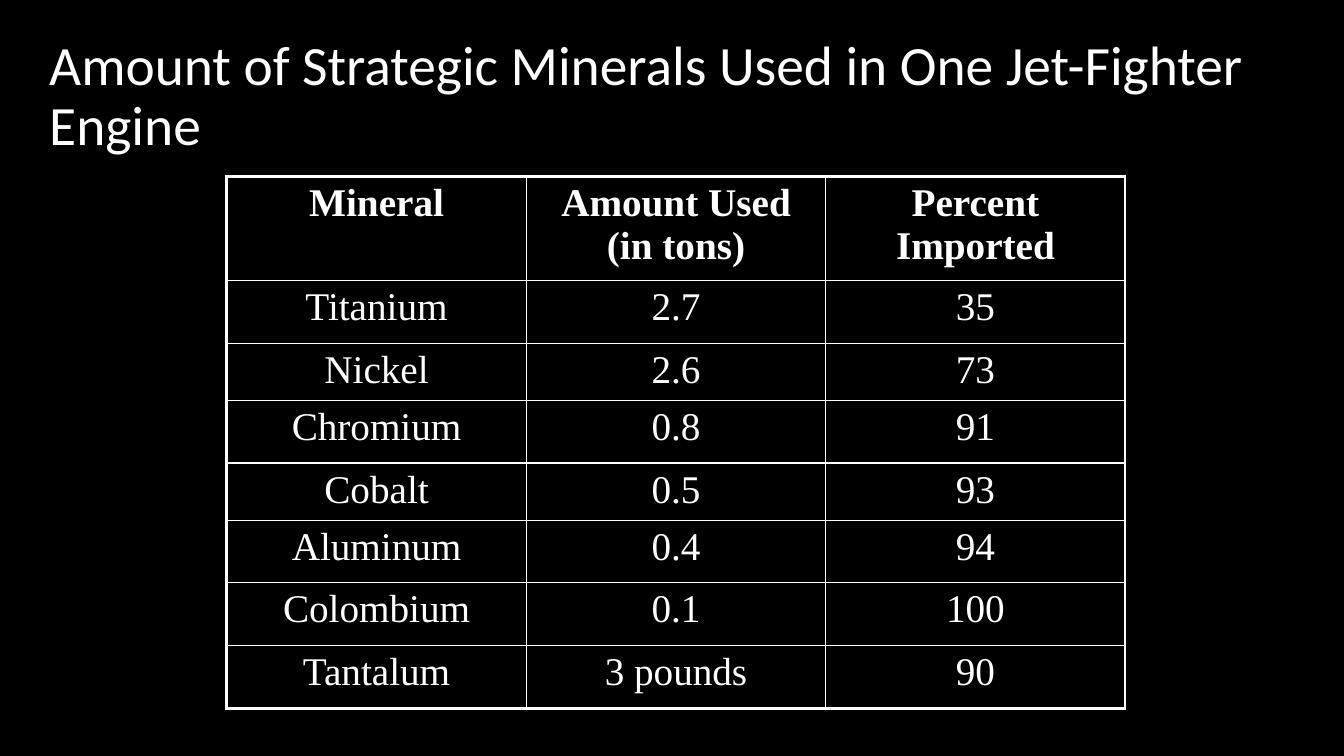
from dataclasses import dataclass

from lxml import etree
from pptx import Presentation
from pptx.dml.color import RGBColor
from pptx.enum.text import MSO_ANCHOR, PP_ALIGN
from pptx.oxml.ns import qn
from pptx.slide import Slide
from pptx.table import _Cell
from pptx.text.text import TextFrame
from pptx.util import Inches, Pt

LEFT, CENTER = PP_ALIGN.LEFT, PP_ALIGN.CENTER
MIDDLE = MSO_ANCHOR.MIDDLE


@dataclass(frozen=True)
class Theme:
    background: str = "000000"
    foreground: str = "FFFFFF"
    title_font: str = "Calibri"
    title_size: float = 39.6
    table_font: str = "Times New Roman"
    table_size: float = 28
    outer_line: float = 2.25
    inner_line: float = 1


@dataclass(frozen=True)
class MineralRow:
    mineral: str
    amount: str
    imported: str
    height: float

    def texts(self) -> tuple[str, str, str]:
        return self.mineral, self.amount, self.imported


THEME = Theme()
COLUMN_WIDTH = 2.97
ROWS = [
    MineralRow("Mineral", "Amount Used (in tons)", "Percent Imported", 1.03),
    MineralRow("Titanium", "2.7", "35", 0.62),
    MineralRow("Nickel", "2.6", "73", 0.57),
    MineralRow("Chromium", "0.8", "91", 0.62),
    MineralRow("Cobalt", "0.5", "93", 0.57),
    MineralRow("Aluminum", "0.4", "94", 0.62),
    MineralRow("Colombium", "0.1", "100", 0.62),
    MineralRow("Tantalum", "3 pounds", "90", 0.63),
]


def write_text(frame: TextFrame, text: str, *, font: str, size: float,
               bold: bool = False, align: PP_ALIGN = LEFT,
               line_spacing: float = 1.0) -> None:
    frame.word_wrap = True
    paragraph = frame.paragraphs[0]
    paragraph.alignment = align
    paragraph.line_spacing = line_spacing
    run = paragraph.add_run()
    run.text = text
    run.font.name = font
    run.font.size = Pt(size)
    run.font.bold = bold
    run.font.color.rgb = RGBColor.from_string(THEME.foreground)


def set_borders(cell: _Cell, outer_sides: dict[str, bool]) -> None:
    """Draw each side, heavier where it lies on the table's edge."""
    properties = cell._tc.get_or_add_tcPr()
    for side, is_outer in outer_sides.items():
        width = THEME.outer_line if is_outer else THEME.inner_line
        line = etree.SubElement(properties, qn(f"a:{side}"), w=str(Pt(width)))
        fill = etree.SubElement(line, qn("a:solidFill"))
        etree.SubElement(fill, qn("a:srgbClr"), val=THEME.foreground)


def add_title(slide: Slide, text: str) -> None:
    box = slide.shapes.add_textbox(Inches(0.39), Inches(0.34), Inches(13.33), Inches(1.25))
    box.text_frame.vertical_anchor = MIDDLE
    write_text(box.text_frame, text, font=THEME.title_font,
               size=THEME.title_size, line_spacing=0.9)


def add_mineral_table(slide: Slide, rows: list[MineralRow]) -> None:
    column_count = len(rows[0].texts())
    table = slide.shapes.add_table(
        len(rows), column_count, Inches(2.25), Inches(1.75),
        Inches(COLUMN_WIDTH * column_count), Inches(sum(row.height for row in rows)),
    ).table
    table.first_row = table.horz_banding = False
    for column in table.columns:
        column.width = Inches(COLUMN_WIDTH)
    for row_index, row in enumerate(rows):
        table.rows[row_index].height = Inches(row.height)
        for column_index, text in enumerate(row.texts()):
            cell = table.cell(row_index, column_index)
            write_text(cell.text_frame, text, font=THEME.table_font,
                       size=THEME.table_size, bold=row_index == 0, align=CENTER)
            set_borders(cell, {
                "lnL": column_index == 0,
                "lnR": column_index == column_count - 1,
                "lnT": row_index == 0,
                "lnB": row_index == len(rows) - 1,
            })
            cell.fill.background()


def main() -> None:
    presentation = Presentation()
    presentation.slide_width = Inches(13.33)
    presentation.slide_height = Inches(7.5)
    slide = presentation.slides.add_slide(presentation.slide_layouts[6])
    slide.background.fill.solid()
    slide.background.fill.fore_color.rgb = RGBColor.from_string(THEME.background)
    add_title(slide, "Amount of Strategic Minerals Used in One Jet-Fighter Engine")
    add_mineral_table(slide, ROWS)
    presentation.save("out.pptx")


if __name__ == "__main__":
    main()
